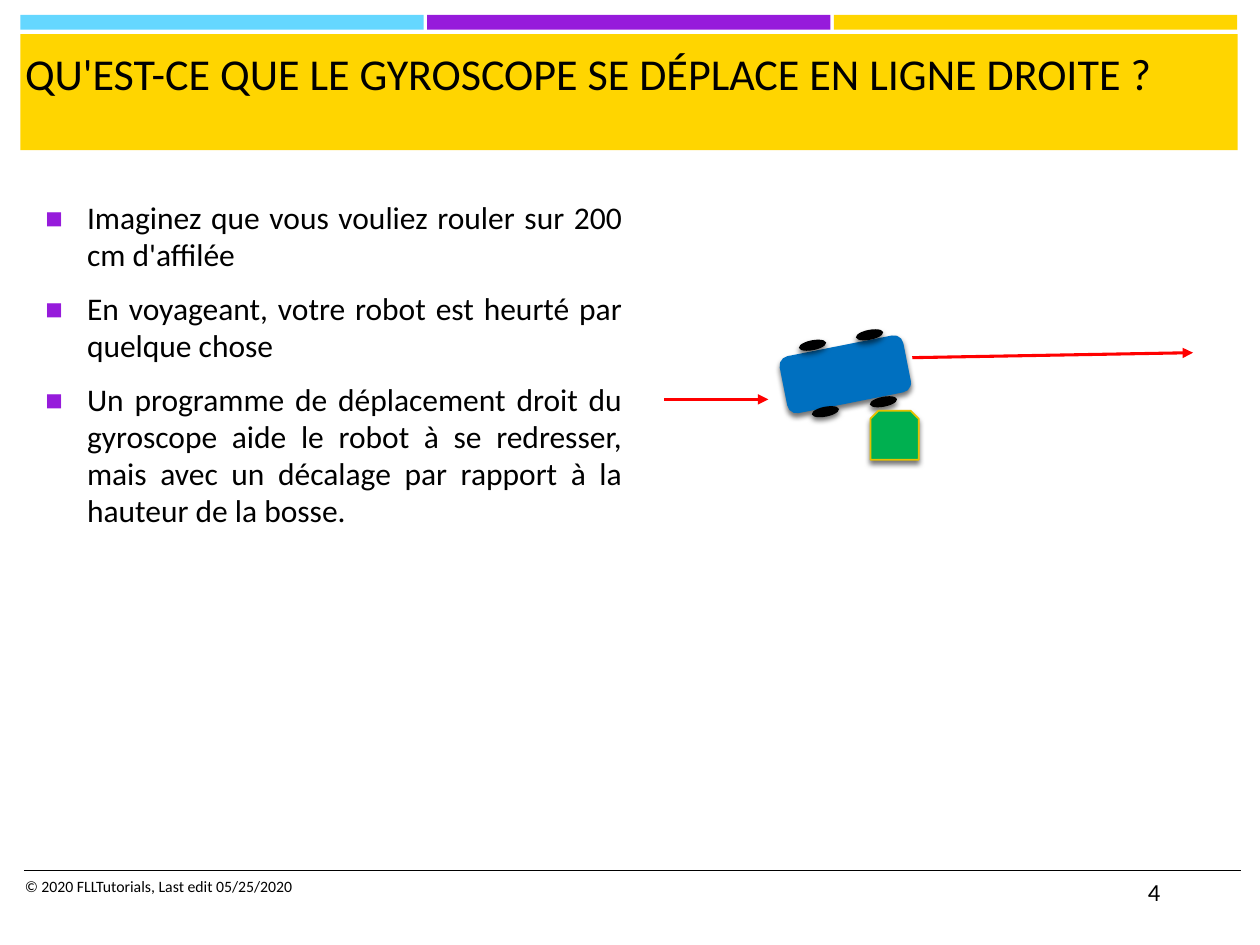
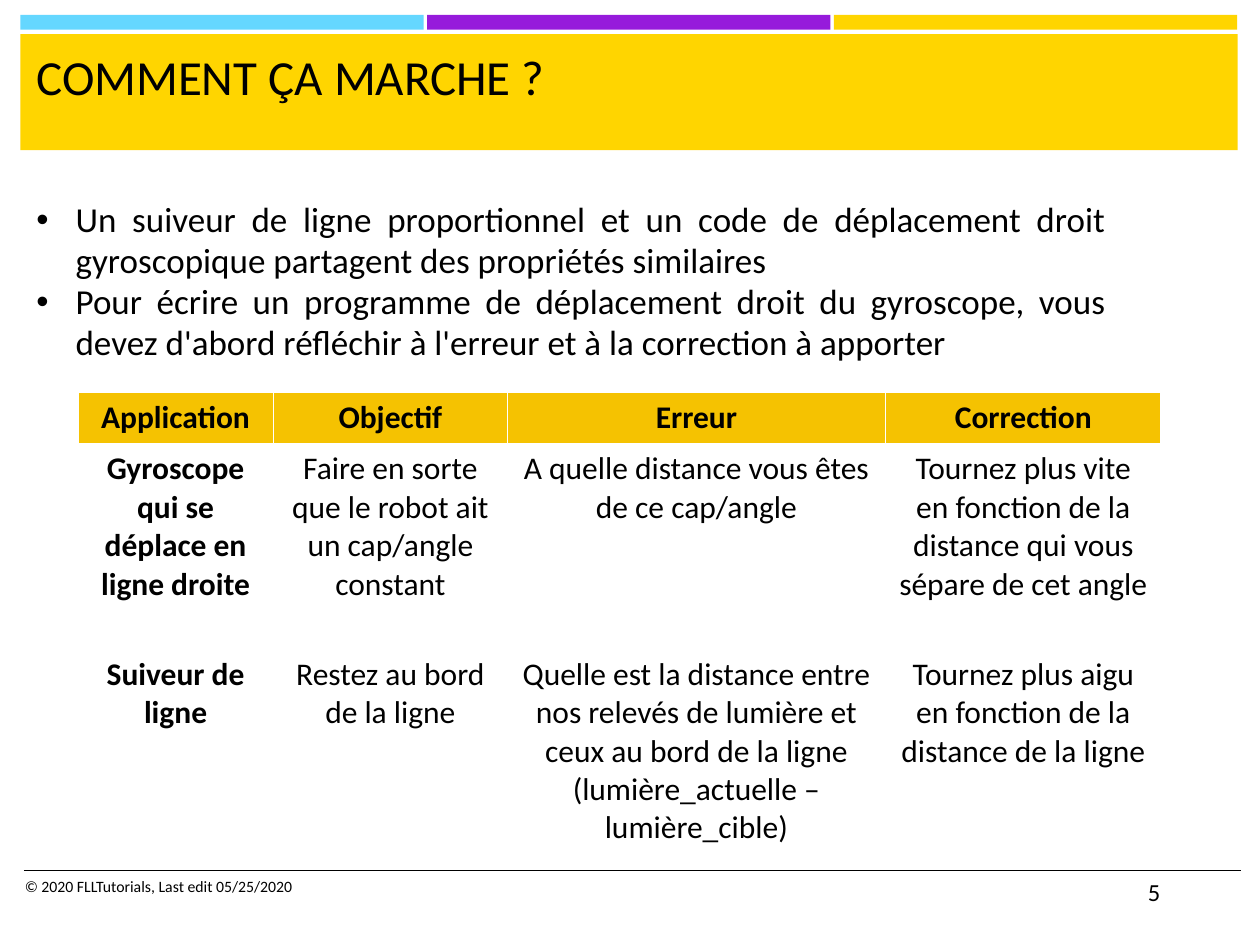
from pptx import Presentation
from pptx.dml.color import RGBColor
from pptx.enum.shapes import MSO_CONNECTOR, MSO_SHAPE
from pptx.enum.text import MSO_ANCHOR, MSO_AUTO_SIZE, PP_ALIGN
from pptx.oxml import parse_xml
from pptx.oxml.ns import nsdecls, qn
from pptx.util import Cm, Pt

LEFT, CENTER, JUSTIFY = PP_ALIGN.LEFT, PP_ALIGN.CENTER, PP_ALIGN.JUSTIFY
TOP, NO_FIT = MSO_ANCHOR.TOP, MSO_AUTO_SIZE.NONE
RECT, ROUND_RECT = MSO_SHAPE.RECTANGLE, MSO_SHAPE.ROUNDED_RECTANGLE
OVAL, SNIPPED = MSO_SHAPE.OVAL, MSO_SHAPE.SNIP_2_SAME_RECTANGLE
STRAIGHT = MSO_CONNECTOR.STRAIGHT

FONT = "Calibri"
BLACK, SKY, PURPLE, YELLOW = "000000", "65D7FF", "961BDB", "FFD500"
GOLD, BLUE, GREEN, RED = "F5C201", "0070C0", "00B050", "FF0000"
OUTLINE = "E6C000"
SHADOW = (f'<a:outerShdw {nsdecls("a")} blurRad="38100" dist="25400" dir="5400000" rotWithShape="0">'
          '<a:srgbClr val="000000"><a:alpha val="55000"/></a:srgbClr></a:outerShdw>')


def rgb(color):
    return RGBColor.from_string(color)


def write(frame, *paragraphs, size, bold=False, align=LEFT, bullet=None, bullet_color=BLACK,
          bullet_size=100, indent=0, before=0, after=0, spacing=1.0):
    frame.word_wrap = True
    frame.vertical_anchor = TOP
    frame.auto_size = NO_FIT
    for i, text in enumerate(paragraphs):
        paragraph = frame.add_paragraph() if i else frame.paragraphs[0]
        if bullet:
            props = paragraph._p.get_or_add_pPr()
            props.set("marL", str(Cm(indent)))
            props.set("indent", str(-Cm(indent)))
            for mark in (f'<a:buClr {nsdecls("a")}><a:srgbClr val="{bullet_color}"/></a:buClr>',
                         f'<a:buSzPct {nsdecls("a")} val="{bullet_size * 1000}"/>',
                         f'<a:buFont {nsdecls("a")} typeface="Arial"/>',
                         f'<a:buChar {nsdecls("a")} char="{bullet}"/>'):
                props.append(parse_xml(mark))
        paragraph.alignment = align
        paragraph.line_spacing = spacing
        paragraph.space_before = Pt(before if i else 0)
        paragraph.space_after = Pt(after)
        run = paragraph.add_run()
        run.text = text
        run.font.name, run.font.size, run.font.bold = FONT, Pt(size), bold
        run.font.color.rgb = rgb(BLACK)


prs = Presentation()
prs.slide_width, prs.slide_height = Cm(25.4), Cm(19.05)
layout = prs.slide_layouts[1]
bump = prs.slides.add_slide(layout)
method = prs.slides.add_slide(layout)

# Shared bands and footer rule, moved onto the layout
bands = [(0.41 + 8.2 * i, 0.3, 8.13, 0.3, color) for i, color in enumerate((SKY, PURPLE, YELLOW))]
bands.append((0.41, 0.69, 24.54, 2.34, YELLOW))
for left, top, width, height, color in bands:
    band = bump.shapes.add_shape(RECT, Cm(left), Cm(top), Cm(width), Cm(height))
    band.shadow.inherit = False
    band.fill.solid()
    band.fill.fore_color.rgb = rgb(color)
    band.line.fill.background()
    layout.shapes.element.append(band.element)

rule = bump.shapes.add_connector(STRAIGHT, Cm(0.48), Cm(17.55), Cm(25.02), Cm(17.55))
rule.line.color.rgb = rgb(BLACK)
rule.line.width = Pt(1)
rule.element.spPr.append(parse_xml(f'<a:effectLst {nsdecls("a")}/>'))
layout.shapes.element.append(rule.element)

# Titles, footers and slide numbers
for slide, heading, size, left, width, number in (
        (bump, "QU'EST-CE QUE LE GYROSCOPE SE DÉPLACE EN LIGNE DROITE ?", 25.2, 0.25, 24.77, "4"),
        (method, "COMMENT ÇA MARCHE ?", 28, 0.48, 24.31, "5")):
    title = slide.shapes.title
    title.left, title.top, title.width, title.height = Cm(left), Cm(0.81), Cm(width), Cm(2.08)
    write(title.text_frame, heading, size=size)
    credit = slide.shapes.add_textbox(Cm(0.25), Cm(17.55), Cm(13.54), Cm(1.02))
    write(credit.text_frame, "© 2020 FLLTutorials, Last edit 05/25/2020", size=9)
    page = slide.shapes.add_textbox(Cm(22.89), Cm(17.55), Cm(2.13), Cm(1.02))
    write(page.text_frame, number, size=14)

# Slide 4: what happens when the robot is bumped
story = bump.placeholders[1]
story.left, story.top, story.width, story.height = Cm(0.66), Cm(3.91), Cm(12.14), Cm(11.96)
write(story.text_frame,
      "Imaginez que vous vouliez rouler sur 200 cm d'affilée",
      "En voyageant, votre robot est heurté par quelque chose",
      "Un programme de déplacement droit du gyroscope aide le robot à se redresser, "
      "mais avec un décalage par rapport à la hauteur de la bosse.",
      size=18, align=JUSTIFY, bullet="■", bullet_color=PURPLE, bullet_size=92,
      indent=0.84, before=3.6, after=6, spacing=0.98)

# Robot (body and four wheels) and the obstacle it hits
robot = bump.shapes.add_group_shape()
tilt = -11.2
wheels = [(16.36, 8.2), (16.1, 6.86), (17.25, 6.65), (17.53, 8.0)]
parts = [(robot, ROUND_RECT, 15.77, 6.96, 2.54, 1.17, BLUE, None, tilt)]
parts += [(robot, OVAL, x, y, 0.56, 0.2, BLACK, None, tilt) for x, y in wheels]
parts.append((bump, SNIPPED, 17.55, 8.28, 0.97, 0.99, GREEN, OUTLINE, 0))
for owner, form, left, top, width, height, fill, outline, angle in parts:
    part = owner.shapes.add_shape(form, Cm(left), Cm(top), Cm(width), Cm(height))
    part.rotation = angle
    part.fill.solid()
    part.fill.fore_color.rgb = rgb(fill)
    if outline:
        part.line.color.rgb = rgb(outline)
        part.line.width = Pt(1)
    else:
        part.line.fill.background()
    part.shadow.inherit = False
    part.element.spPr.find(qn("a:effectLst")).append(parse_xml(SHADOW))

# Path before and after the bump
for x1, y1, x2, y2 in ((13.39, 8.05, 15.49, 8.05), (18.39, 7.21, 24.05, 7.11)):
    course = bump.shapes.add_connector(STRAIGHT, Cm(x1), Cm(y1), Cm(x2), Cm(y2))
    course.line.color.rgb = rgb(RED)
    course.line.width = Pt(1.75)
    props = course.element.spPr
    props.find(qn("a:ln")).append(parse_xml(f'<a:tailEnd {nsdecls("a")} type="triangle"/>'))
    props.append(parse_xml(f'<a:effectLst {nsdecls("a")}/>'))

# Slide 5: error and correction
idea = method.placeholders[1]
idea.left, idea.top, idea.width, idea.height = Cm(0.48), Cm(3.89), Cm(22.07), Cm(3.68)
write(idea.text_frame,
      "Un suiveur de ligne proportionnel et un code de déplacement droit gyroscopique "
      "partagent des propriétés similaires",
      "Pour écrire un programme de déplacement droit du gyroscope, vous devez d'abord "
      "réfléchir à l'erreur et à la correction à apporter",
      size=20, align=JUSTIFY, bullet="•", indent=0.79, spacing=0.98)

applications = [
    ("Application", "Objectif", "Erreur", "Correction"),
    ("Gyroscope qui se déplace en ligne droite",
     "Faire en sorte que le robot ait un cap/angle constant",
     "A quelle distance vous êtes de ce cap/angle",
     "Tournez plus vite en fonction de la distance qui vous sépare de cet angle"),
    ("Suiveur de ligne",
     "Restez au bord de la ligne",
     "Quelle est la distance entre nos relevés de lumière et ceux au bord de la ligne "
     "(lumière_actuelle – lumière_cible)",
     "Tournez plus aigu en fonction de la distance de la ligne"),
]
widths, heights = (3.94, 4.72, 7.62, 5.56), (1.04, 4.14, 4.13)
comparison = method.shapes.add_table(len(heights), len(widths), Cm(1.57), Cm(7.9),
                                     Cm(sum(widths)), Cm(sum(heights))).table
comparison.horz_banding = False
for column, width in zip(comparison.columns, widths):
    column.width = Cm(width)
for r, (row, height) in enumerate(zip(applications, heights)):
    comparison.rows[r].height = Cm(height)
    for c, text in enumerate(row):
        cell = comparison.cell(r, c)
        if r == 0:
            cell.fill.solid()
            cell.fill.fore_color.rgb = rgb(GOLD)
        else:
            cell.fill.background()
        write(cell.text_frame, text, size=18, bold=r == 0 or c == 0, align=CENTER)

prs.save("out.pptx")
